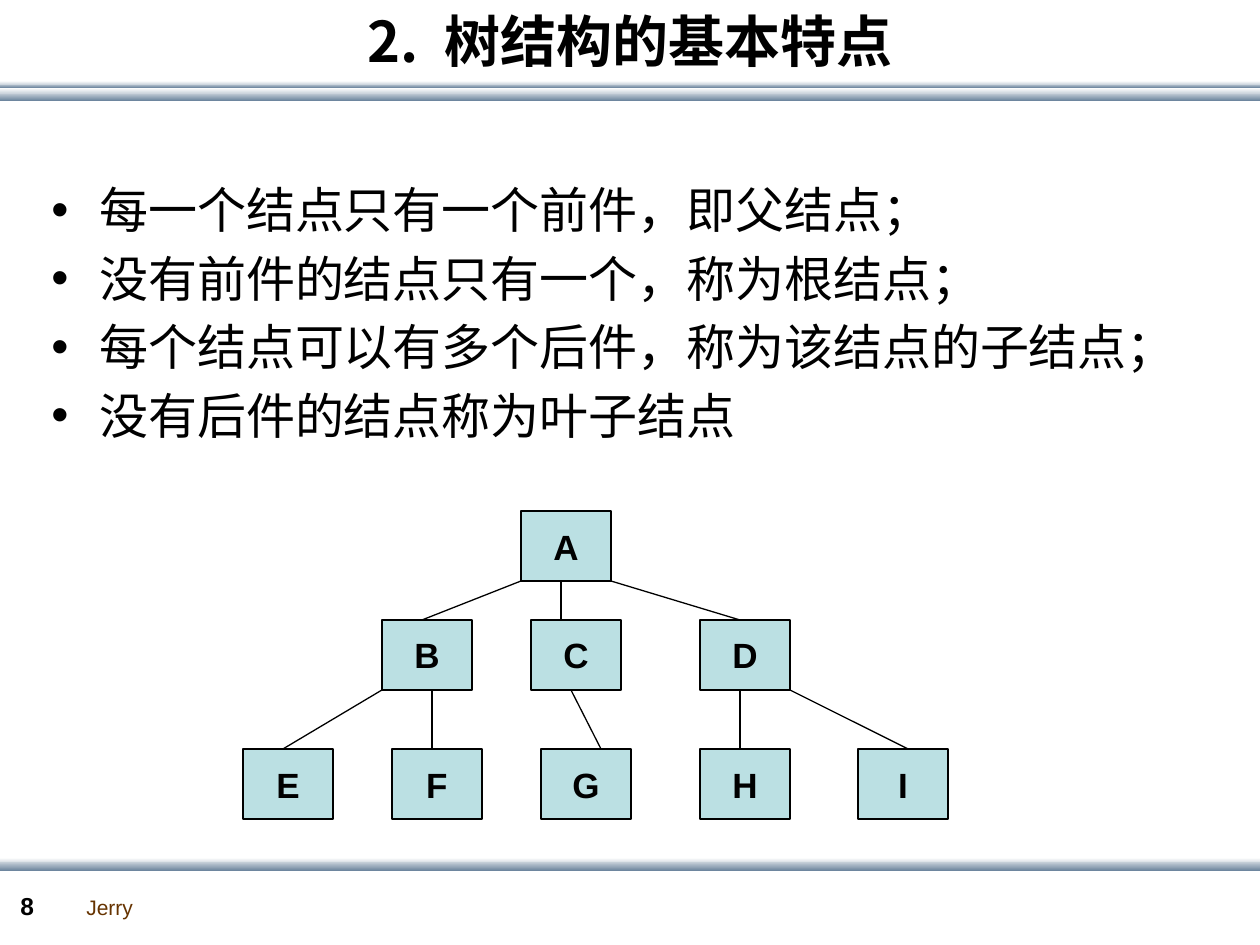
from lxml import etree
from pptx import Presentation
from pptx.dml.color import RGBColor
from pptx.enum.shapes import MSO_CONNECTOR, MSO_SHAPE
from pptx.enum.text import MSO_ANCHOR, PP_ALIGN
from pptx.oxml.ns import qn
from pptx.util import Emu, Pt

COLORS = {"black": "000000", "brown": "663300", "node": "BBE0E3",
          "white": "FFFFFF", "mist": "C8D1DA", "steel": "6A839C"}
LATIN, CHINESE = "Arial", "Noto Sans CJK SC"
LIGHT, DARK = ("white", "mist"), ("mist", "steel")
NODE_WIDTH, NODE_HEIGHT = 90, 70


def px(value):
    return Emu(round(value * 914400 / 126))


def color(name):
    return RGBColor.from_string(COLORS[name])


def style(para, size, font_name=LATIN, bold=False, ink="black"):
    for span in para.runs:
        font = span.font
        font.name, font.size, font.bold = font_name, Pt(size), bold
        font.color.rgb = color(ink)
        east_asian = etree.Element(qn("a:ea"), typeface=font_name)
        span._r.get_or_add_rPr().find(qn("a:latin")).addnext(east_asian)


def add_text(page, box, text, wrap=True):
    frame = page.shapes.add_textbox(*map(px, box)).text_frame
    frame.word_wrap = wrap
    frame.text = text
    return frame


def add_bands(page, box, bands):
    """Stack gradient strips, each given as offset, height and colour pair."""
    left, top, width = box
    for offset, height, shades in bands:
        band = page.shapes.add_shape(
            MSO_SHAPE.RECTANGLE, px(left), px(top + offset), px(width), px(height))
        band.shadow.inherit = False
        band.line.fill.background()
        band.fill.gradient()
        band.fill.gradient_angle = 270
        for stop, shade in zip(band.fill.gradient_stops, shades):
            stop.color.rgb = color(shade)


def add_title(page, box, text):
    frame = add_text(page, box, text)
    frame.vertical_anchor = MSO_ANCHOR.MIDDLE
    para = frame.paragraphs[0]
    para.alignment = PP_ALIGN.CENTER
    style(para, 32, CHINESE, bold=True)


def add_bullets(page, box, lines):
    frame = add_text(page, box, "\n".join(lines))
    frame.margin_top = px(12)
    for index, para in enumerate(frame.paragraphs):
        props = para._p.get_or_add_pPr()
        props.set("marL", str(px(48)))
        props.set("indent", str(-px(48)))
        etree.SubElement(props, qn("a:buFont"), typeface=LATIN)
        etree.SubElement(props, qn("a:buChar"), char="•")
        para.line_spacing = Pt(33.5)
        if index:
            para.space_before = Pt(5.6)
        style(para, 28, CHINESE)


def add_node(page, left, top, label):
    node = page.shapes.add_shape(
        MSO_SHAPE.RECTANGLE, px(left), px(top), px(NODE_WIDTH), px(NODE_HEIGHT))
    node.shadow.inherit = False
    node.fill.solid()
    node.fill.fore_color.rgb = color("node")
    node.line.color.rgb = color("black")
    node.line.width = Pt(0.75)
    frame = node.text_frame
    frame.word_wrap = False
    frame.vertical_anchor = MSO_ANCHOR.MIDDLE
    frame.text = label
    frame.paragraphs[0].alignment = PP_ALIGN.CENTER
    style(frame.paragraphs[0], 20, bold=True)


def add_link(page, start, end):
    link = page.shapes.add_connector(
        MSO_CONNECTOR.STRAIGHT, *map(px, start), *map(px, end))
    link.line.color.rgb = color("black")
    link.line.width = Pt(0.75)
    etree.SubElement(link._element.spPr, qn("a:effectLst"))


def add_tree(page, left, top, levels, links):
    corners = {}
    for offset, nodes in levels:
        for label, x in nodes.items():
            corners[label] = (left + x, top + offset)
            add_node(page, *corners[label], label)
    # Each link runs from a point on the parent's base to one on the child's top
    for parent, parent_x, child, child_x in links:
        x1, y1 = corners[parent]
        x2, y2 = corners[child]
        add_link(page, (x1 + parent_x, y1 + NODE_HEIGHT), (x2 + child_x, y2))


def add_footer(page, left, top, name, number):
    frame = add_text(page, (left + 66, top + 3, 73, 38), name, wrap=False)
    style(frame.paragraphs[0], 12, ink="brown")
    frame = add_text(page, (left, top, 69, 42), number)
    style(frame.paragraphs[0], 14, bold=True)


def main():
    deck = Presentation()
    deck.slide_width, deck.slide_height = px(1260), px(945)
    page = deck.slides.add_slide(deck.slide_layouts[6])

    # Rules above and below the content
    add_bands(page, (0, 81, 1261),
              [(12, 8, DARK), (3, 4, DARK), (7, 6, LIGHT), (0, 4, LIGHT)])
    add_bands(page, (0, 858, 1261), [(0, 6, LIGHT), (4, 9, DARK)])
    add_footer(page, 8, 885, "Jerry", "8")

    # Title and statements
    add_title(page, (0, -4, 1260, 88), "2.  树结构的基本特点")
    add_bullets(page, (39, 168, 1171, 309), [
        "每一个结点只有一个前件，即父结点；",
        "没有前件的结点只有一个，称为根结点；",
        "每个结点可以有多个后件，称为该结点的子结点；",
        "没有后件的结点称为叶子结点",
    ])

    # Tree diagram
    levels = [
        (0, {"A": 278}),
        (109, {"B": 139, "C": 288, "D": 457}),
        (238, {"E": 0, "F": 149, "G": 298, "H": 457, "I": 615}),
    ]
    links = [
        ("A", 0, "B", 40), ("A", 40, "C", 30), ("A", 90, "D", 40),
        ("B", 0, "E", 40), ("B", 50, "F", 40), ("C", 40, "G", 60),
        ("D", 40, "H", 40), ("D", 90, "I", 50),
    ]
    add_tree(page, 243, 511, levels, links)

    deck.save("out.pptx")


if __name__ == "__main__":
    main()
